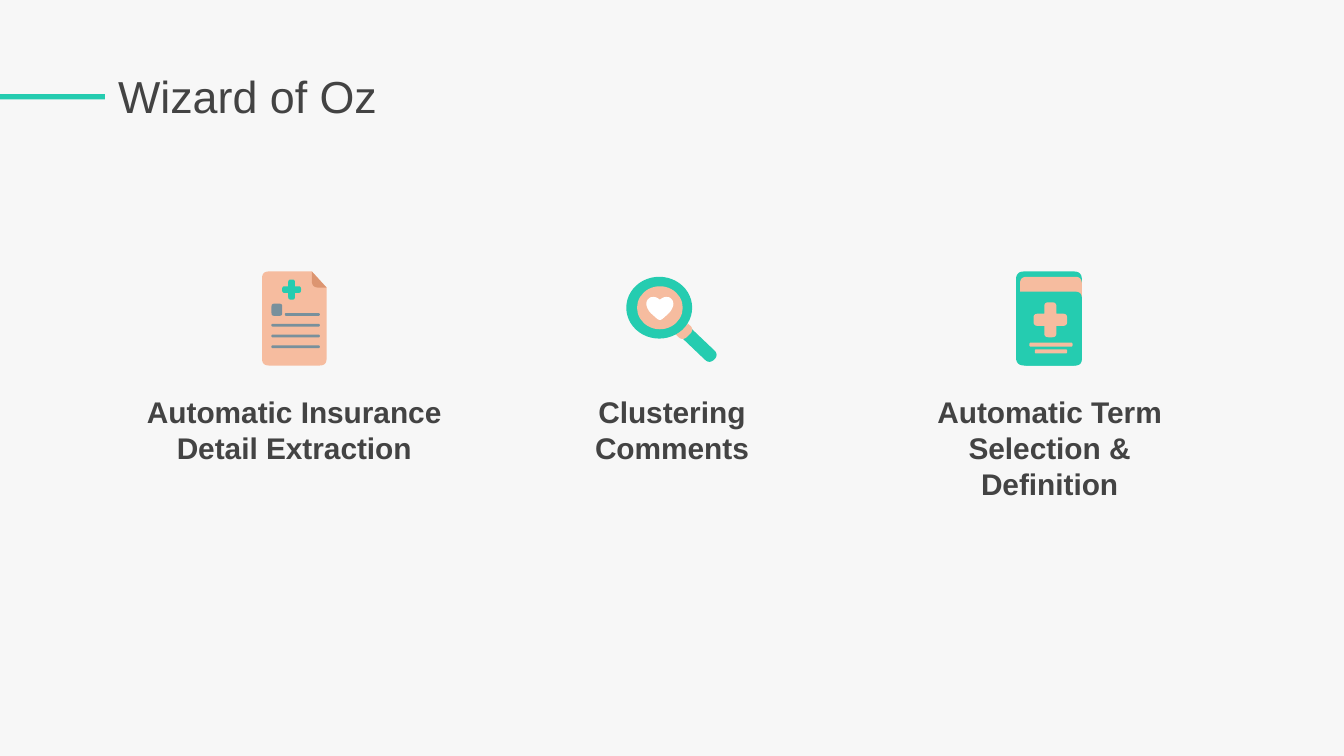
from math import dist

from pptx import Presentation
from pptx.dml.color import RGBColor
from pptx.enum.shapes import MSO_SHAPE as Kind
from pptx.enum.text import PP_ALIGN as Align
from pptx.util import Inches, Pt

PAPER = RGBColor(0xF7, 0xF7, 0xF7)
INK = RGBColor(0x43, 0x43, 0x43)
TEAL = RGBColor(0x25, 0xCC, 0xB0)
PEACH = RGBColor(0xF6, 0xBC, 0x9F)
FOLD = RGBColor(0xDC, 0x95, 0x71)
SLATE = RGBColor(0x78, 0x90, 0x9C)
WHITE = RGBColor(0xFF, 0xFF, 0xFF)

TITLE = "Wizard of Oz"
TOPICS = [
    "Automatic Insurance Detail Extraction",
    "Clustering Comments",
    "Automatic Term Selection & Definition",
]

deck = Presentation()
deck.slide_width = Inches(10)
deck.slide_height = Inches(10) * 9 // 16
slide = deck.slides.add_slide(deck.slide_layouts[6])
slide.background.fill.solid()
slide.background.fill.fore_color.rgb = PAPER


def paint(shape, color):
    shape.fill.solid()
    shape.fill.fore_color.rgb = color
    shape.line.fill.background()
    shape.shadow.inherit = False


def preset(kind, x, y, w, h, color):
    paint(slide.shapes.add_shape(kind, Inches(x), Inches(y), Inches(w), Inches(h)), color)


def text(words, x, y, w, h, size, bold=False, align=Align.LEFT):
    frame = slide.shapes.add_textbox(Inches(x), Inches(y), Inches(w), Inches(h)).text_frame
    frame.word_wrap = True
    frame.margin_left = frame.margin_right = Inches(0.1)
    frame.margin_top = frame.margin_bottom = Inches(0.1)
    para = frame.paragraphs[0]
    para.text = words
    para.alignment = align
    para.font.name = "Arial"
    para.font.size = Pt(size)
    para.font.bold = bold
    para.font.color.rgb = INK


def toward(start, end, gap):
    part = gap / dist(start, end)
    return tuple(a + (b - a) * part for a, b in zip(start, end))


def outline(corners, color, steps=6):
    dots = []
    for i, (x, y, radius) in enumerate(corners):
        spot = (x, y)
        if not radius:
            dots.append(spot)
            continue
        head = toward(spot, corners[i - 1][:2], radius)
        tail = toward(spot, corners[(i + 1) % len(corners)][:2], radius)
        for n in range(steps + 1):
            t = n / steps
            dots.append(tuple((1 - t) ** 2 * a + 2 * t * (1 - t) * b + t * t * c
                              for a, b, c in zip(head, spot, tail)))
    dots = [(Inches(x), Inches(y)) for x, y in dots]
    form = slide.shapes.build_freeform(*dots[0])
    form.add_line_segments(dots[1:], close=True)
    paint(form.convert_to_shape(), color)


def block(x, y, w, h, color, nw=0, ne=0, se=0, sw=0):
    outline([(x, y, nw), (x + w, y, ne), (x + w, y + h, se), (x, y + h, sw)], color)


def pill(x, y, w, h, color, radius):
    block(x, y, w, h, color, radius, radius, radius, radius)


def plus(x, y, w, h, arm, color, radius):
    left, right = x + (w - arm) / 2, x + (w + arm) / 2
    top, base = y + (h - arm) / 2, y + (h + arm) / 2
    outline([
        (left, y, radius), (right, y, radius), (right, top, 0),
        (x + w, top, radius), (x + w, base, radius), (right, base, 0),
        (right, y + h, radius), (left, y + h, radius), (left, base, 0),
        (x, base, radius), (x, top, radius), (left, top, 0),
    ], color)


def draw_page():
    outline([(1.95, 2.02, 0.05), (2.32, 2.02, 0), (2.43, 2.14, 0),
             (2.43, 2.72, 0.05), (1.95, 2.72, 0.05)], PEACH)
    outline([(2.32, 2.02, 0), (2.43, 2.14, 0), (2.32, 2.14, 0.05)], FOLD)
    pill(2.02, 2.26, 0.08, 0.09, SLATE, 0.02)
    pill(2.12, 2.33, 0.26, 0.02, SLATE, 0.01)
    for row in range(3):
        pill(2.02, 2.41 + 0.08 * row, 0.36, 0.02, SLATE, 0.01)
    plus(2.1, 2.08, 0.14, 0.15, 0.05, TEAL, 0.02)


def draw_lens():
    outline([(5.07, 2.51, 0), (5.14, 2.44, 0), (5.35, 2.64, 0.05), (5.28, 2.71, 0.05)], TEAL)
    outline([(5.03, 2.49, 0), (5.12, 2.41, 0), (5.17, 2.45, 0.05), (5.08, 2.54, 0.05)], PEACH)
    preset(Kind.OVAL, 4.66, 2.06, 0.49, 0.46, TEAL)
    preset(Kind.OVAL, 4.74, 2.13, 0.34, 0.32, PEACH)
    outline([(4.91, 2.23, 0), (4.95, 2.2, 0.04), (5.02, 2.23, 0.05),
             (5, 2.31, 0.04), (4.91, 2.39, 0.03), (4.82, 2.31, 0.04),
             (4.8, 2.23, 0.05), (4.87, 2.2, 0.04)], WHITE)


def draw_book():
    pill(7.56, 2.02, 0.49, 0.7, TEAL, 0.06)
    block(7.59, 2.06, 0.46, 0.16, PEACH, nw=0.05, ne=0.05)
    block(7.59, 2.17, 0.46, 0.55, TEAL, ne=0.05, se=0.05, sw=0.05)
    plus(7.69, 2.25, 0.25, 0.26, 0.09, PEACH, 0.03)
    pill(7.66, 2.55, 0.32, 0.03, PEACH, 0.01)
    pill(7.7, 2.6, 0.24, 0.03, PEACH, 0.01)


preset(Kind.RECTANGLE, 0, 0.7, 0.78, 0.04, TEAL)
text(TITLE, 0.78, 0.41, 8.79, 0.63, size=24)
for i, topic in enumerate(TOPICS):
    text(topic, 0.95 + 2.81 * i, 2.83, 2.48, 0.7, size=16, bold=True, align=Align.CENTER)
draw_lens()
draw_page()
draw_book()
deck.save("out.pptx")
